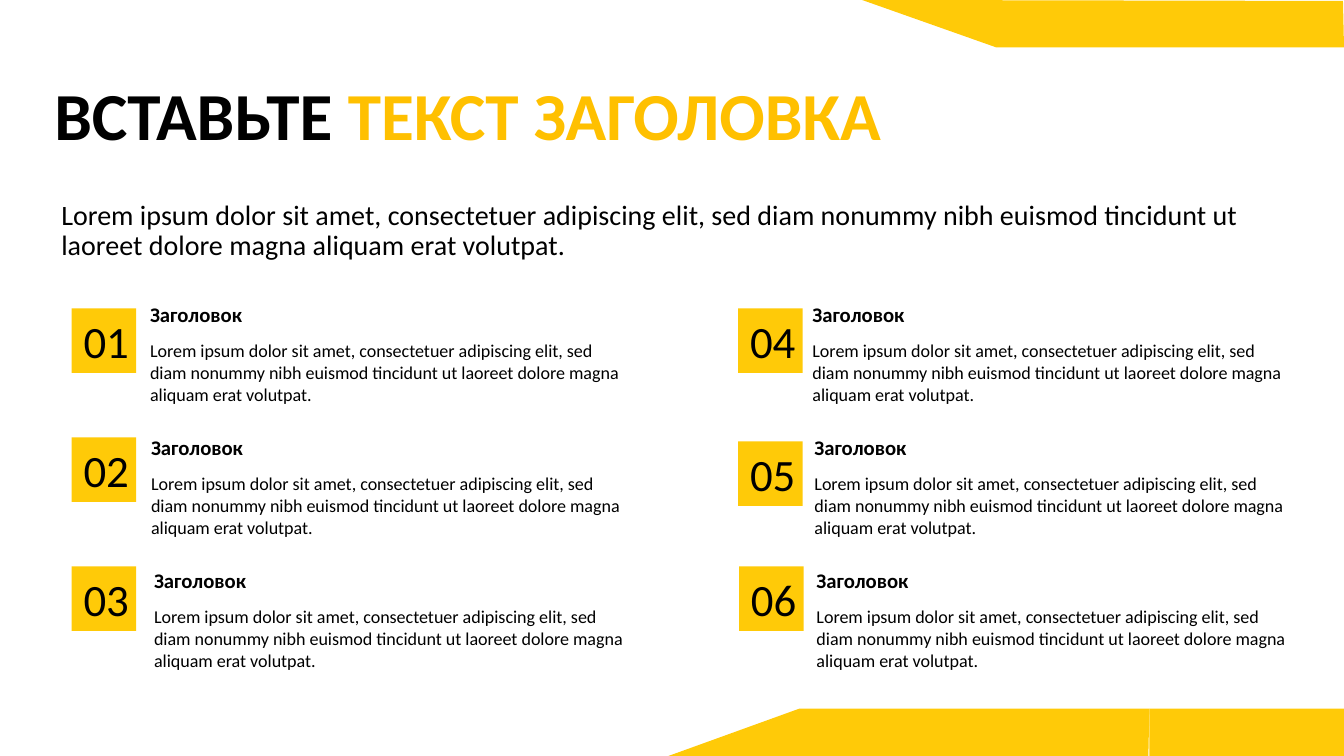
"""Build a title slide with six numbered text items and yellow corner bands."""

from dataclasses import dataclass

import pptx
import pptx.dml.color
import pptx.enum.shapes
import pptx.enum.text
import pptx.shapes.autoshape
import pptx.slide
import pptx.text.text
import pptx.util

PX = 9144
FONT = "Calibri"
BLACK = pptx.dml.color.RGBColor(0x00, 0x00, 0x00)
GOLD = pptx.dml.color.RGBColor(0xFF, 0xC0, 0x00)
YELLOW = pptx.dml.color.RGBColor(0xFF, 0xCA, 0x08)
LOREM = (
    "Lorem ipsum dolor sit amet, consectetuer adipiscing elit, sed diam nonummy "
    "nibh euismod tincidunt ut laoreet dolore magna aliquam erat volutpat."
)
SQUARE = 64


@dataclass(frozen=True)
class Item:
    """A numbered square with a heading and body text, in px."""

    number: str
    square_x: int
    square_y: int
    text_x: int
    text_y: int


ITEMS = (
    Item("01", 71, 306, 139, 301),
    Item("02", 71, 434, 140, 433),
    Item("03", 71, 562, 143, 565),
    Item("04", 732, 306, 796, 301),
    Item("05", 732, 438, 798, 433),
    Item("06", 733, 562, 800, 565),
)

BANDS = (
    ((855, 0), (1332, 1), (1333, 47), (988, 47)),
    ((663, 750), (793, 703), (1140, 703), (1139, 750)),
)


def paint(sp: pptx.shapes.autoshape.Shape) -> None:
    """Give a shape the flat yellow look."""
    sp.shadow.inherit = False
    sp.fill.solid()
    sp.fill.fore_color.rgb = YELLOW
    sp.line.fill.background()


def add_band(s: pptx.slide.Slide, points: tuple[tuple[int, int], ...]) -> None:
    """Draw a closed yellow outline."""
    builder = s.shapes.build_freeform(*points[0], scale=PX)
    builder.add_line_segments(points[1:], close=True)
    paint(builder.convert_to_shape())


def add_rect(s: pptx.slide.Slide, x: int, y: int, w: int, h: int) -> None:
    """Draw a yellow rectangle."""
    kind = pptx.enum.shapes.MSO_SHAPE.RECTANGLE
    paint(s.shapes.add_shape(kind, x * PX, y * PX, w * PX, h * PX))


def add_box(s: pptx.slide.Slide, x: int, y: int, w: int, h: int) -> pptx.text.text.TextFrame:
    """Add a wrapping text box and return its frame."""
    tf = s.shapes.add_textbox(x * PX, y * PX, w * PX, h * PX).text_frame
    tf.word_wrap = True
    return tf


def add_run(
    p: pptx.text.text._Paragraph,
    text: str,
    size: float,
    bold: bool = False,
    color: pptx.dml.color.RGBColor = BLACK,
) -> None:
    """Append a formatted run."""
    r = p.add_run()
    r.text = text
    r.font.name = FONT
    r.font.size = pptx.util.Pt(size)
    r.font.bold = bold
    r.font.color.rgb = color


def add_item(s: pptx.slide.Slide, item: Item) -> None:
    """Draw one numbered item."""
    add_rect(s, item.square_x, item.square_y, SQUARE, SQUARE)

    tf = add_box(s, item.text_x, item.text_y, 493, 108)
    p = tf.paragraphs[0]
    p.line_spacing = 0.7
    add_run(p, "Заголовок", 14.8, bold=True)
    p = tf.add_paragraph()
    p.space_before = pptx.util.Pt(10)
    add_run(p, LOREM, 12.9)

    tf = add_box(s, item.square_x + 2, item.square_y, 101, SQUARE)
    tf.auto_size = pptx.enum.text.MSO_AUTO_SIZE.SHAPE_TO_FIT_TEXT
    add_run(tf.paragraphs[0], item.number, 32)


def main() -> None:
    """Build and save the slide."""
    prs = pptx.Presentation()
    prs.slide_width = 1333 * PX
    prs.slide_height = 750 * PX
    s = prs.slides.add_slide(prs.slide_layouts[6])

    for points in BANDS:
        add_band(s, points)
    add_rect(s, 1140, 703, 193, 47)

    p = add_box(s, 51, 195, 1243, 80).paragraphs[0]
    p.line_spacing = 0.9
    add_run(p, LOREM, 20)

    tf = add_box(s, 44, 45, 1245, 145)
    tf.vertical_anchor = pptx.enum.text.MSO_ANCHOR.MIDDLE
    p = tf.paragraphs[0]
    p.line_spacing = 0.9
    add_run(p, "ВСТАВЬТЕ ", 48, bold=True)
    add_run(p, "ТЕКСТ ЗАГОЛОВКА", 48, bold=True, color=GOLD)

    for item in ITEMS:
        add_item(s, item)

    prs.save("out.pptx")


if __name__ == "__main__":
    main()
